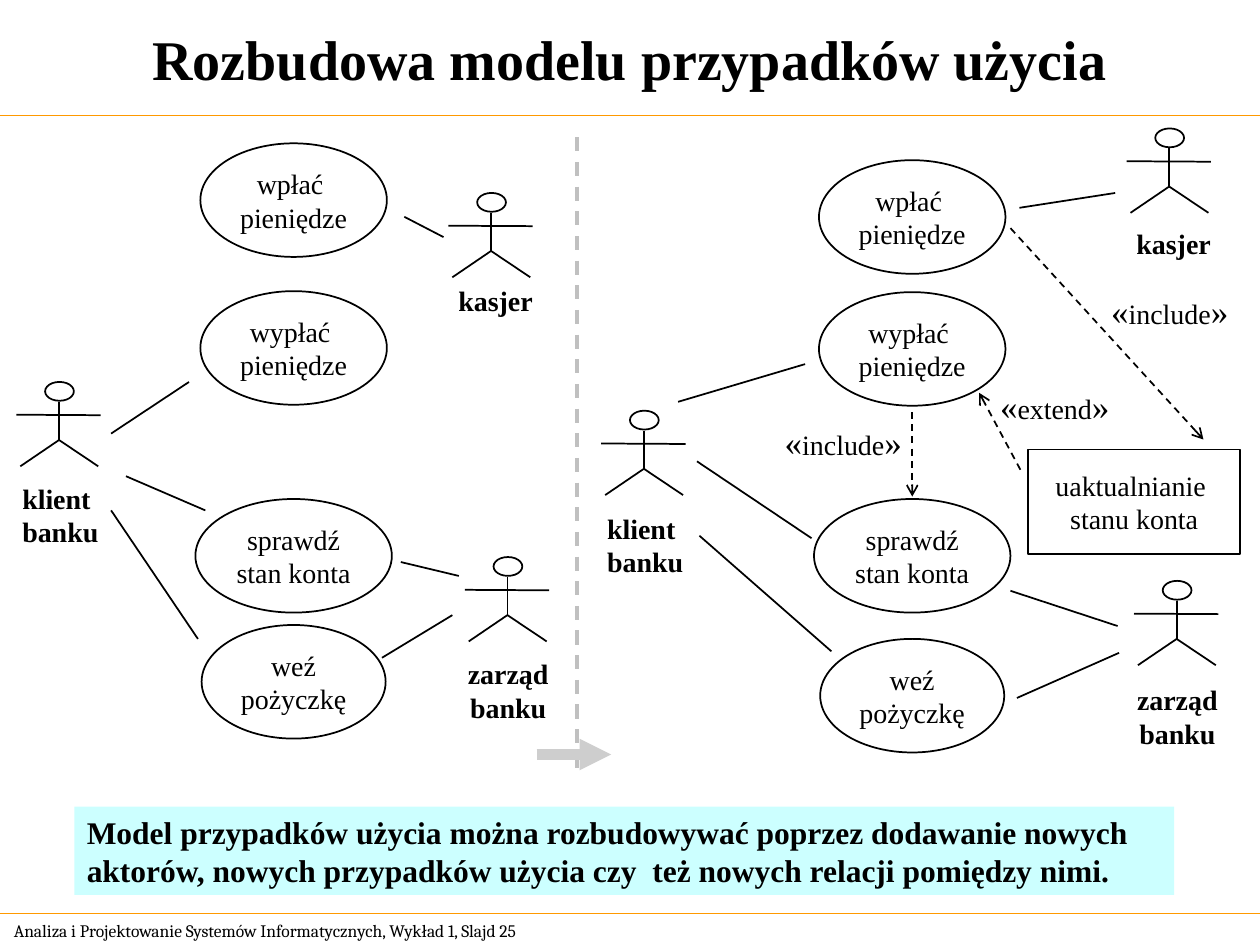
from dataclasses import dataclass

from lxml import etree
from pptx import Presentation
from pptx.dml.color import RGBColor as RGB
from pptx.enum.dml import MSO_LINE as Dash
from pptx.enum.shapes import MSO_CONNECTOR as Link, MSO_SHAPE as Kind
from pptx.enum.text import MSO_ANCHOR as Anchor, PP_ALIGN as Align
from pptx.oxml.ns import qn
from pptx.util import Cm, Pt


@dataclass(frozen=True)
class Theme:
    ink: str = "000000"
    rule: str = "FF9900"
    fence: str = "C0C0C0"
    arrow: str = "CECECE"
    note: str = "CCFFFF"
    paper: str = "FFFFFF"
    serif: str = "Times New Roman"
    foot: str = "Cambria"
    title: int = 32
    lead: int = 18
    mark: int = 20
    body: int = 16
    small: int = 10


T = Theme()
WIDE, HIGH = 25.4, 19.05
TOP, BASE = 2.33, 18.41
OVAL = 2.29


def style(run, **extra):
    look = {"size": T.body, "name": T.serif, "bold": False} | extra
    look["size"] = Pt(look["size"])
    for key, value in look.items():
        setattr(run.font, key, value)
    run.font.color.rgb = RGB.from_string(T.ink)


def write(shape, lines, align=Align.LEFT, anchor=Anchor.TOP, wrap=False, **look):
    """Fill a shape; each line is a string or a list of (text, size) runs."""
    frame = shape.text_frame
    frame.word_wrap, frame.vertical_anchor = wrap, anchor
    for i, line in enumerate(lines):
        para = frame.paragraphs[0] if i == 0 else frame.add_paragraph()
        para.alignment = align
        runs = [(line, None)] if isinstance(line, str) else line
        for text, size in runs:
            run = para.add_run()
            run.text = text
            style(run, **(look | ({"size": size} if size else {})))


def label(shapes, box, lines, **look):
    write(shapes.add_textbox(*map(Cm, box)), lines, **look)


def form(shapes, kind, box, fill=None, edge=T.ink):
    shape = shapes.add_shape(kind, *map(Cm, box))
    shape.shadow.inherit = False
    if fill:
        shape.fill.solid()
        shape.fill.fore_color.rgb = RGB.from_string(fill)
    else:
        shape.fill.background()
    if edge:
        shape.line.color.rgb = RGB.from_string(edge)
        shape.line.width = Pt(1)
    else:
        shape.line.fill.background()
    return shape


def link(shapes, ends, color=T.ink, width=1, dash=None, head=None):
    wire = shapes.add_connector(Link.STRAIGHT, *map(Cm, ends))
    wire.line.color.rgb = RGB.from_string(color)
    wire.line.width = Pt(width)
    if dash:
        wire.line.dash_style = dash
    props = wire.line._get_or_add_ln()
    if head:
        etree.SubElement(props, qn("a:tailEnd"), type=head)
    etree.SubElement(props.getparent(), qn("a:effectLst"))


def actor(shapes, x, y, lines, tag, align=Align.LEFT):
    """Stick figure at x, y; tag is the box of its name relative to it."""
    group = shapes.add_group_shape().shapes
    form(group, Kind.OVAL, (x + 0.58, y, 0.58, 0.38))
    limbs = [
        (0.86, 0.4, 0.86, 1.19),
        (0, 0.66, 1.7, 0.67),
        (0.86, 1.17, 1.65, 1.7),
        (0.86, 1.17, 0.08, 1.7),
    ]
    for a, b, c, d in limbs:
        link(group, (x + a, y + b, x + c, y + d))
    dx, dy, w, h = tag
    label(shapes, (x + dx, y + dy, w, h), lines, align=align, bold=True)


def model(shapes, x, y, mid, tops, cast, wires):
    """Use cases centred on mid, three actors and their plain links."""
    cases = [
        (3.76, ["wpłać ", "pieniędze"]),
        (3.76, ["wypłać ", "pieniędze"]),
        (3.96, ["sprawdź", "stan konta"]),
        (3.71, ["weź", "pożyczkę"]),
    ]
    for top, (w, lines) in zip(tops, cases):
        oval = form(shapes, Kind.OVAL, (x + mid - w / 2, y + top, w, OVAL))
        write(oval, lines, align=Align.CENTER, anchor=Anchor.MIDDLE)
    roles = [
        (["klient", "banku"], -0.13, 2.15, 1.63, Align.LEFT),
        (["kasjer"], -0.05, 2.15, 0.94, Align.LEFT),
        (["zarząd", "banku"], -0.21, 2.17, 1.63, Align.CENTER),
    ]
    for (ax, ay, drop), (lines, dx, w, h, align) in zip(cast, roles):
        actor(shapes, x + ax, y + ay, lines, (dx, drop, w, h), align)
    for a, b, c, d in wires:
        link(shapes, (x + a, y + b, x + c, y + d))


def before(shapes, x, y):
    model(
        shapes, x, y, 5.92, (0.39, 3.37, 7.56, 10.1),
        [(0.33, 5.2, 1.88), (9.04, 1.39, 1.7), (9.37, 8.73, 1.88)],
        [
            (2.24, 6.24, 3.81, 5.2), (8.08, 8.83, 9.25, 9.11),
            (2.54, 7.1, 4.14, 7.79), (2.24, 7.79, 3.99, 10.38),
            (8.15, 1.87, 8.94, 2.28), (9.12, 9.9, 7.7, 10.76),
        ],
    )


def after(shapes, x, y):
    model(
        shapes, x, y, 6.59, (0.73, 3.39, 7.56, 10.38),
        [(0.32, 5.78, 1.9), (10.91, 0.09, 1.85), (11.06, 9.21, 1.93)],
        [
            (1.87, 5.6, 4.43, 4.84), (8.57, 9.41, 10.73, 10.12),
            (2.25, 6.8, 4.56, 8.35), (2.3, 8.3, 4.96, 10.63),
            (8.75, 1.69, 10.68, 1.39), (10.76, 10.66, 8.7, 11.57),
        ],
    )
    update = form(shapes, Kind.RECTANGLE, (x + 8.93, y + 6.56, 4.27, 2.11), T.paper)
    write(update, ["uaktualnianie ", "stanu konta"],
          align=Align.CENTER, anchor=Anchor.MIDDLE)
    bonds = [
        ("include", (3.77, 5.86, 2.87), (6.59, 5.81, 6.59, 7.51)),
        ("include", (10.35, 3.22, 2.87), (8.57, 2.1, 12.46, 6.36)),
        ("extend", (8.11, 5.12, 2.72), (8.77, 6.97, 7.94, 5.42)),
    ]
    for word, (tx, ty, w), (a, b, c, d) in bonds:
        label(shapes, (x + tx, y + ty, w, 1.12),
              [[("«", T.mark), (word, T.body), ("»", T.mark)]])
        link(shapes, (x + a, y + b, x + c, y + d), dash=Dash.DASH, head="arrow")


def frame(shapes):
    """Title, footer and the two rules."""
    for y in (TOP, BASE):
        link(shapes, (0, y, WIDE, y), T.rule, 0.75)
    label(shapes, (0, 0, WIDE, TOP), ["Rozbudowa modelu przypadków użycia"],
          align=Align.CENTER, anchor=Anchor.MIDDLE, wrap=True,
          size=T.title, bold=True)
    label(shapes, (0.03, BASE, 12.07, 0.69),
          ["Analiza i Projektowanie Systemów Informatycznych, Wykład 1, Slajd 25"],
          anchor=Anchor.MIDDLE, size=T.small, name=T.foot)


def split(shapes, x, y):
    """Dashed fence at x with the arrow across its foot."""
    link(shapes, (x, y, x, y + 12.88), T.fence, 2, Dash.DASH)
    link(shapes, (x - 0.81, y + 12.44, x + 0.69, y + 12.44), T.arrow, 6,
         head="triangle")


def note(shapes, box):
    text = ("Model przypadków użycia można rozbudowywać poprzez dodawanie nowych "
            "aktorów, nowych przypadków użycia czy  też nowych relacji pomiędzy nimi.")
    write(form(shapes, Kind.RECTANGLE, box, T.note, None), [text],
          wrap=True, size=T.lead, bold=True)


def main():
    deck = Presentation()
    deck.slide_width, deck.slide_height = Cm(WIDE), Cm(HIGH)
    shapes = deck.slides.add_slide(deck.slide_layouts[6]).shapes
    frame(shapes)
    note(shapes, (1.5, 16.26, 22.17, 1.78))
    before(shapes, 0, 2.5)
    split(shapes, 11.63, 2.77)
    after(shapes, 11.8, 2.5)
    deck.save("out.pptx")


if __name__ == "__main__":
    main()
